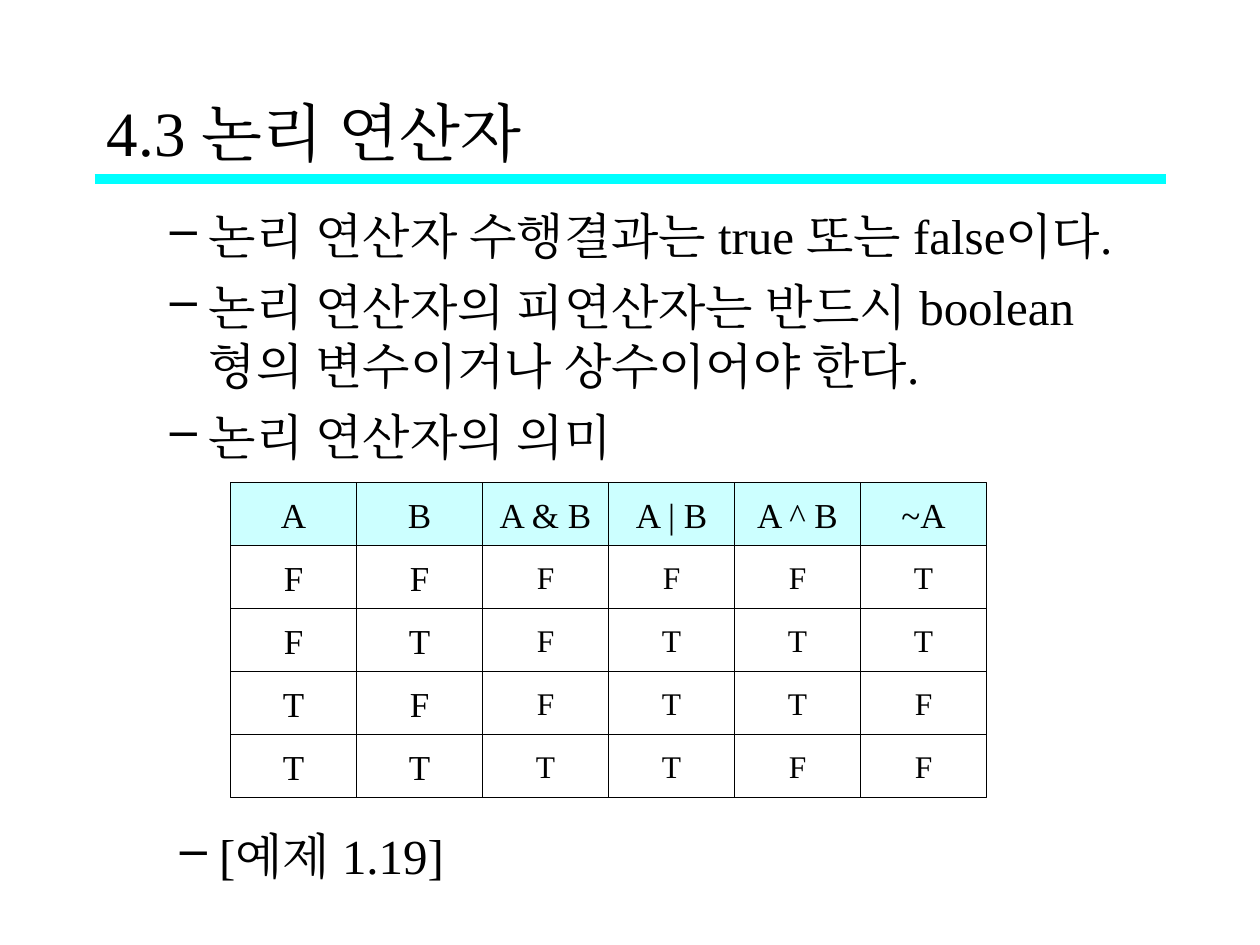
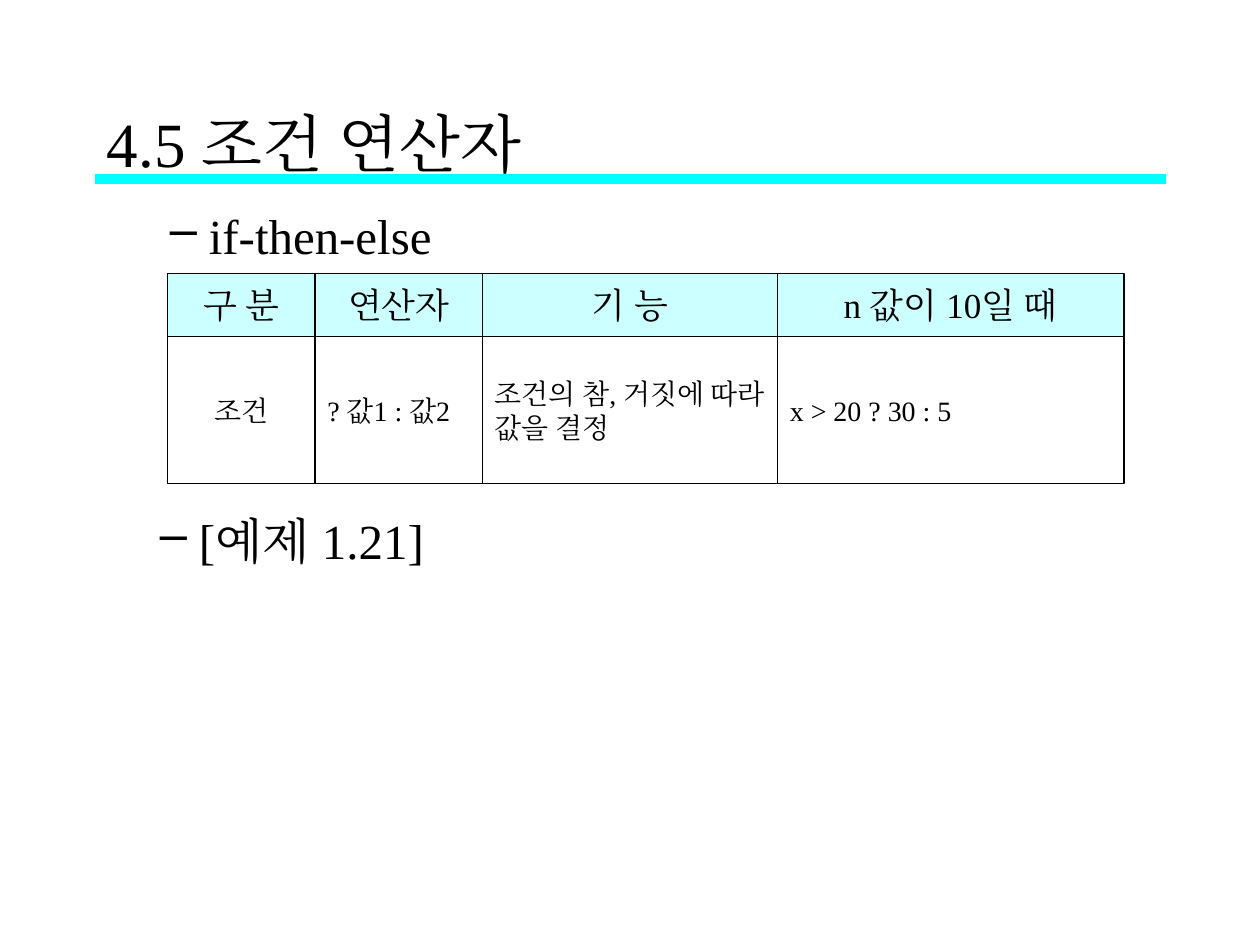
from itertools import accumulate

from lxml import etree
from pptx import Presentation
from pptx.dml.color import RGBColor
from pptx.enum.shapes import MSO_CONNECTOR, MSO_SHAPE
from pptx.enum.text import MSO_ANCHOR, PP_ALIGN
from pptx.oxml.ns import qn
from pptx.util import Inches, Pt

BLACK = "000000"
RULE_COLOR = "00FFFF"
HEADER_FILL = "CCFFFF"
FONT = "Times New Roman"


def color(value):
    return RGBColor.from_string(value)


class LectureDeck:
    """Holds the shared style and the slide being filled."""

    def __init__(self):
        self.presentation = Presentation()
        self.presentation.slide_width = Inches(10)
        self.presentation.slide_height = Inches(7.5)
        self.slide = None

    def format_paragraph(self, paragraph, size):
        for run in paragraph.runs:
            run.font.size = Pt(size)
            run.font.color.rgb = color(BLACK)
            run.font.name = FONT
            # Korean text takes the East Asian typeface
            etree.SubElement(run.font._element, qn("a:ea"), typeface=FONT)

    def add_slide(self, title, top, height):
        layout = self.presentation.slide_layouts[6]
        self.slide = self.presentation.slides.add_slide(layout)
        self.add_rule()
        text_frame = self.add_text_frame(0.75, top, 8.5, height)
        text_frame.vertical_anchor = MSO_ANCHOR.MIDDLE
        text_frame.text = title
        self.format_paragraph(text_frame.paragraphs[0], 36)

    def add_rule(self):
        rule = self.slide.shapes.add_connector(
            MSO_CONNECTOR.STRAIGHT, Inches(0.75), Inches(1.42), Inches(9.25), Inches(1.42))
        rule.line.color.rgb = color(RULE_COLOR)
        rule.line.width = Pt(6)
        etree.SubElement(rule._element.spPr, qn("a:effectLst"))

    def add_text_frame(self, left, top, width, height):
        box = self.slide.shapes.add_textbox(
            Inches(left), Inches(top), Inches(width), Inches(height))
        box.text_frame.word_wrap = True
        return box.text_frame

    def add_bullets(self, lines, left, top, width, height):
        text_frame = self.add_text_frame(left, top, width, height)
        text_frame.text = "\n".join(lines)
        for index, paragraph in enumerate(text_frame.paragraphs):
            paragraph.level = 1
            properties = paragraph._p.get_or_add_pPr()
            properties.set("marL", str(Inches(0.81)))
            properties.set("indent", str(Inches(-0.31)))
            bullet_color = etree.SubElement(properties, qn("a:buClr"))
            etree.SubElement(bullet_color, qn("a:srgbClr"), val=BLACK)
            etree.SubElement(properties, qn("a:buChar"), char="–")
            if index:
                paragraph.space_before = Pt(7)
            self.format_paragraph(paragraph, 28)

    def add_grid(self, rows, left, top, widths, heights, sizes, centered):
        """Sizes are the body text sizes by column; centered lists body columns."""
        lefts = list(accumulate(widths, initial=left))
        tops = list(accumulate(heights, initial=top))
        for row_index, texts in enumerate(rows):
            is_header = row_index == 0
            for column_index, text in enumerate(texts):
                cell = self.slide.shapes.add_shape(
                    MSO_SHAPE.RECTANGLE,
                    Inches(lefts[column_index]), Inches(tops[row_index]),
                    Inches(widths[column_index]), Inches(heights[row_index]))
                self.fill_cell(
                    cell, text, 20 if is_header else sizes[column_index],
                    is_header or column_index in centered, is_header)

    def fill_cell(self, cell, text, size, is_centered, is_header):
        cell.shadow.inherit = False
        cell.line.color.rgb = color(BLACK)
        cell.line.width = Pt(0.75)
        if is_header:
            cell.fill.solid()
            cell.fill.fore_color.rgb = color(HEADER_FILL)
        else:
            cell.fill.background()
        text_frame = cell.text_frame
        text_frame.word_wrap = False
        text_frame.vertical_anchor = MSO_ANCHOR.MIDDLE
        text_frame.text = text
        for paragraph in text_frame.paragraphs:
            paragraph.alignment = PP_ALIGN.CENTER if is_centered else PP_ALIGN.LEFT
            self.format_paragraph(paragraph, size)


def main():
    deck = LectureDeck()

    # Logical operators
    deck.add_slide("4.3 논리 연산자", 0.75, 0.58)
    deck.add_bullets([
        "논리 연산자 수행결과는 true 또는 false이다.",
        "논리 연산자의 피연산자는 반드시 boolean 형의 변수이거나 상수이어야 한다.",
        "논리 연산자의 의미",
    ], 0.75, 1.58, 8.5, 2.25)
    truth_table = [
        ["A", "B", "A & B", "A | B", "A ^ B", "~A"],
        ["F", "F", "F", "F", "F", "T"],
        ["F", "T", "F", "T", "T", "T"],
        ["T", "F", "F", "T", "T", "F"],
        ["T", "T", "T", "T", "F", "F"],
    ]
    deck.add_grid(truth_table, 1.83, 3.83, [1] * 6, [0.5] * 5,
                  [20] * 2 + [18] * 4, range(6))
    deck.add_bullets(["[예제 1.19]"], 0.83, 6.5, 4.58, 0.58)

    # Conditional operator
    deck.add_slide("4.5 조건 연산자", 0.92, 0.42)
    deck.add_bullets(["if-then-else"], 0.75, 1.58, 8.5, 0.67)
    conditional_table = [
        ["구 분", "연산자", "기 능", "n 값이 10일 때"],
        ["조건", "? 값1 : 값2", "조건의 참, 거짓에 따라\n값을 결정", "x > 20 ? 30 : 5"],
    ]
    deck.add_grid(conditional_table, 1.33, 2.17, [1.17, 1.33, 2.34, 2.75],
                  [0.5, 1.17], [16] * 4, [0])
    deck.add_bullets(["[예제 1.21]"], 0.67, 4, 4.42, 0.67)

    deck.presentation.save("out.pptx")


if __name__ == "__main__":
    main()
